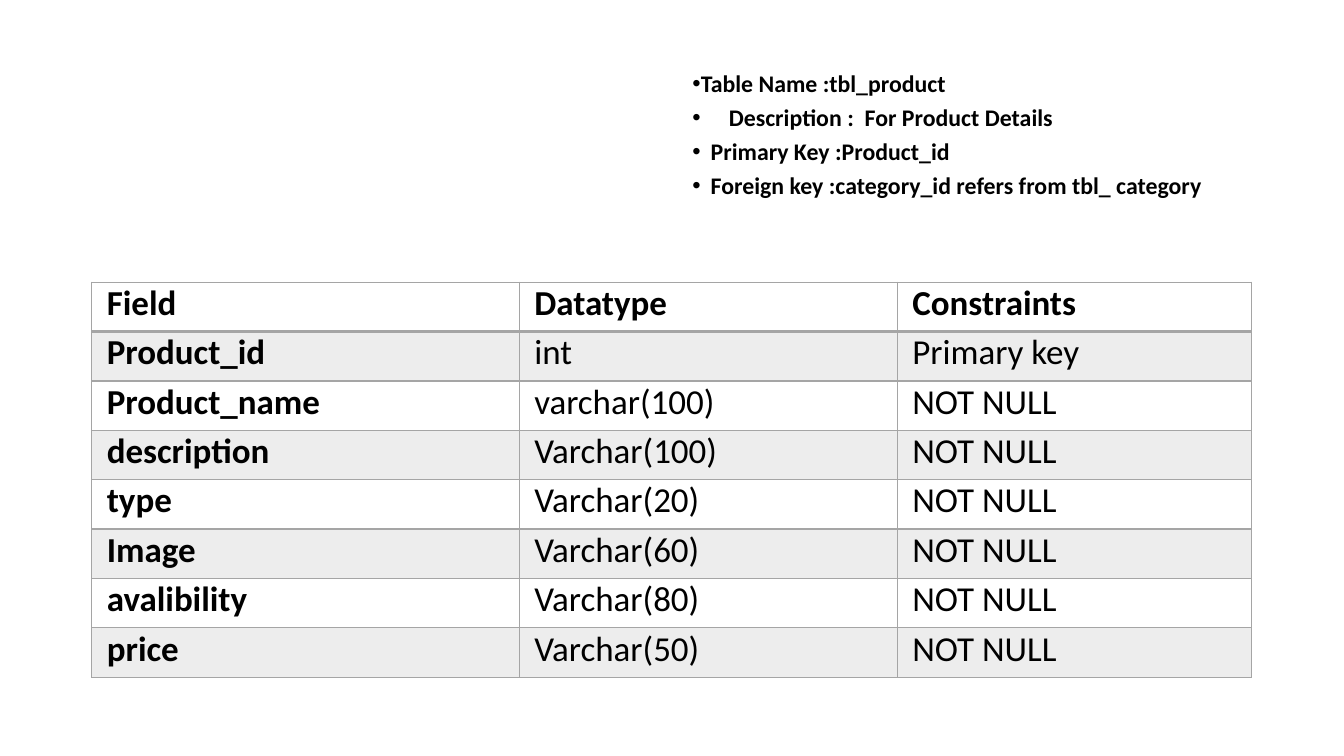
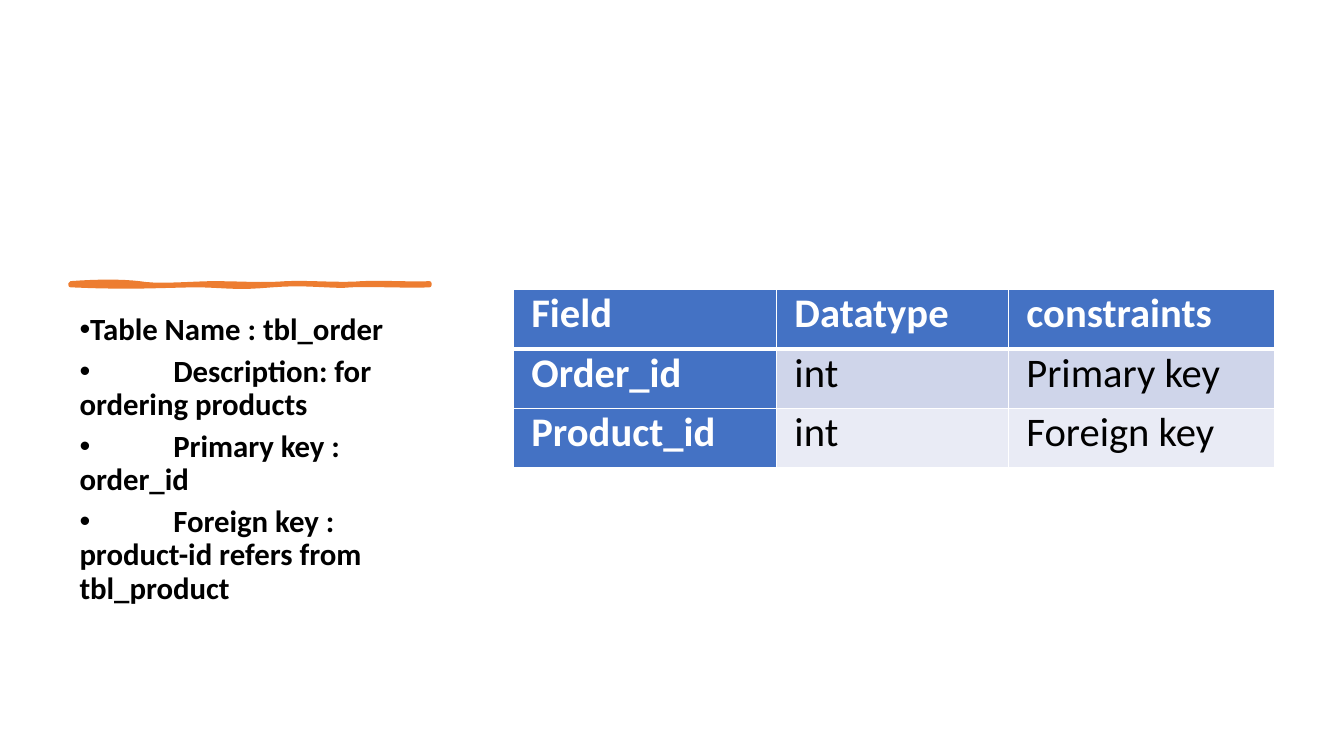
from dataclasses import dataclass

from lxml.etree import SubElement as Sub
from pptx import Presentation
from pptx.dml.color import RGBColor as RGB
from pptx.enum.text import MSO_ANCHOR as Anchor
from pptx.oxml.ns import qn
from pptx.util import Inches, Pt


@dataclass(frozen=True)
class Theme:
    font: str = "Calibri"
    ink: str = "000000"
    white: str = "FFFFFF"
    gray: str = "A5A5A5"
    pale: str = "EDEDED"
    blue: str = "4472C4"
    bands: tuple = ("CFD5EA", "E9EBF5")
    orange: str = "ED7D31"
    note: int = 17
    body: int = 22
    grid: int = 25
    big: int = 29


@dataclass(frozen=True)
class Look:
    """Colours and sizes of one table; a fill of None leaves a cell clear."""
    size: int
    pad: float
    edge: str
    rule: int
    head: str
    side: str
    bands: tuple
    label: str


theme = Theme()
PLAIN = Look(theme.grid, 0.15, theme.gray, 2, None, None,
             (theme.pale, None), theme.ink)
BLUE = Look(theme.big, 0.18, theme.white, 3, theme.blue, theme.blue,
            theme.bands, theme.white)


def assign(item, values):
    for name, value in values.items():
        setattr(item, name, value)


def curve(start, pieces, steps=8):
    """Points along a chain of cubic curves."""
    points = [start]
    for a, b, end in pieces:
        first = points[-1]
        for step in range(1, steps + 1):
            t = step / steps
            u = 1 - t
            points.append(tuple(
                u**3 * p + 3 * u * u * t * q + 3 * u * t * t * r + t**3 * s
                for p, q, r, s in zip(first, a, b, end)))
    return points


class Deck:
    def __init__(self):
        self.prs = Presentation()
        assign(self.prs, {"slide_width": Inches(13.33),
                          "slide_height": Inches(7.5)})
        self.slide = None

    def page(self):
        self.slide = self.prs.slides.add_slide(self.prs.slide_layouts[6])

    def label(self, par, text, size, color=theme.ink, bold=True):
        run = par.add_run()
        run.text = text
        assign(run.font, {"name": theme.font, "size": Pt(size), "bold": bold})
        run.font.color.rgb = RGB.from_string(color)

    def bullets(self, box, rows, size, anchor=Anchor.TOP, tab=None):
        """Each row is a text and its hanging indent."""
        shape = self.slide.shapes.add_textbox(*map(Inches, box))
        frame = shape.text_frame
        assign(frame, {"word_wrap": True, "vertical_anchor": anchor})
        for i, (text, hang) in enumerate(rows):
            par = frame.add_paragraph() if i else frame.paragraphs[0]
            assign(par, {"line_spacing": 0.9, "space_after": Pt(6)})
            self.label(par, text, size)
            props = par._p.get_or_add_pPr()
            props.set("marL", str(Inches(hang)))
            props.set("indent", str(-Inches(hang)))
            Sub(props, qn("a:buFont"), typeface="Arial")
            Sub(props, qn("a:buChar"), char="•")
            if tab:
                stops = Sub(props, qn("a:tabLst"))
                Sub(stops, qn("a:tab"), pos=str(Inches(tab)), algn="l")

    def edges(self, cell, row, look):
        props = cell._tc.get_or_add_tcPr()
        heavy = {(0, "B"), (1, "T")}
        for side in "LRTB":
            width = look.rule if (row, side) in heavy else 1
            line = Sub(props, qn(f"a:ln{side}"), w=str(Pt(width)))
            fill = Sub(line, qn("a:solidFill"))
            Sub(fill, qn("a:srgbClr"), val=look.edge)

    def table(self, left, top, cols, high, rows, look):
        frame = self.slide.shapes.add_table(
            len(rows), len(cols), Inches(left), Inches(top),
            Inches(sum(cols)), Inches(high * len(rows)))
        grid = frame.table
        assign(grid, {"first_row": False, "horz_banding": False})
        for col, width in zip(grid.columns, cols):
            col.width = Inches(width)
        for r, texts in enumerate(rows):
            grid.rows[r].height = Inches(high)
            for c, text in enumerate(texts):
                self.cell(grid.cell(r, c), r, c, text, look)

    def cell(self, cell, r, c, text, look):
        pad = Inches(look.pad)
        assign(cell, {"margin_left": pad, "margin_right": pad,
                      "margin_top": 0, "margin_bottom": 0})
        strong = r == 0 or c == 0
        self.label(cell.text_frame.paragraphs[0], text, look.size,
                   look.label if strong else theme.ink, strong)
        self.edges(cell, r, look)
        band = look.bands[(r - 1) % 2]
        fill = look.head if r == 0 else (look.side or band) if c == 0 else band
        if fill:
            cell.fill.solid()
            cell.fill.fore_color.rgb = RGB.from_string(fill)
        else:
            cell.fill.background()

    def stroke(self, points, color, width):
        spots = [(Inches(x), Inches(y)) for x, y in points]
        outline = self.slide.shapes.build_freeform(*spots[0])
        outline.add_line_segments(spots[1:], close=True)
        shape = outline.convert_to_shape()
        shape.shadow.inherit = False
        shape.fill.solid()
        for paint in (shape.fill.fore_color, shape.line.color):
            paint.rgb = RGB.from_string(color)
        shape.line.width = Pt(width)
        Sub(shape.line._get_or_add_ln(), qn("a:round"))


def product(deck):
    deck.page()
    deck.bullets((6.77, 0.6, 5.64, 1.49), [
        ("Table Name :tbl_product", 0),
        ("Description :  For Product Details", 0.36),
        ("Primary Key :Product_id", 0.18),
        ("Foreign key :category_id refers from tbl_ category", 0.18),
    ], theme.note, Anchor.MIDDLE)
    fields = [("Product_name", "varchar(100)"), ("description", "Varchar(100)"),
              ("type", "Varchar(20)"), ("Image", "Varchar(60)"),
              ("avalibility", "Varchar(80)"), ("price", "Varchar(50)")]
    deck.table(0.91, 2.8, (4.24, 3.75, 3.51), 0.49, [
        ("Field", "Datatype", "Constraints"),
        ("Product_id", "int", "Primary key"),
        *((*field, "NOT NULL") for field in fields),
    ], PLAIN)


def order(deck):
    deck.page()
    deck.stroke(curve((0.7, 2.81), [
        ((0.97, 2.79), (1.21, 2.79), (1.38, 2.81)),
        ((1.55, 2.84), (1.77, 2.82), (2.09, 2.81)),
        ((2.41, 2.81), (2.6, 2.83), (2.84, 2.81)),
        ((3.08, 2.8), (3.39, 2.83), (3.59, 2.81)),
        ((3.79, 2.8), (4.12, 2.82), (4.26, 2.81)),
        ((4.26, 2.82), (4.26, 2.83), (4.26, 2.83)),
        ((4.08, 2.84), (3.64, 2.82), (3.48, 2.83)),
        ((3.32, 2.85), (3.04, 2.8), (2.7, 2.83)),
        ((2.35, 2.86), (2.31, 2.84), (1.99, 2.83)),
        ((1.66, 2.83), (1.32, 2.86), (0.7, 2.83)),
    ]), theme.orange, 3)
    deck.bullets((0.69, 3.07, 3.75, 3.73), [
        ("Table Name : tbl_order", 0),
        ("\tDescription: for ordering products", 0),
        ("\tPrimary key : order_id", 0),
        ("\tForeign key : product-id refers from tbl_product", 0),
    ], theme.body, tab=0.93)
    deck.table(5.09, 2.87, (2.61, 2.3, 2.64), 0.59, [
        ("Field", "Datatype", "constraints"),
        ("Order_id", "int", "Primary key"),
        ("Product_id", "int", "Foreign key"),
    ], BLUE)


def main():
    deck = Deck()
    product(deck)
    order(deck)
    deck.prs.save("out.pptx")


if __name__ == "__main__":
    main()
